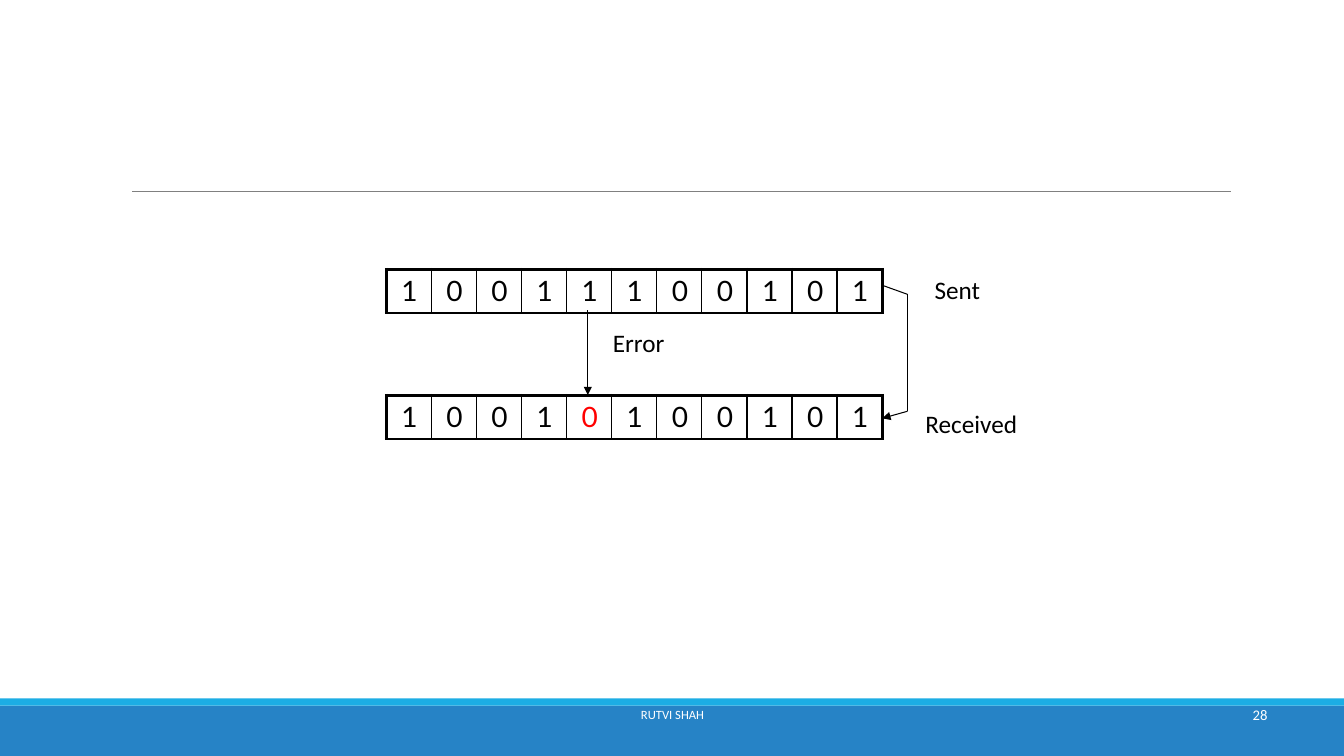
from lxml import etree
from pptx import Presentation
from pptx.dml.color import RGBColor
from pptx.enum.shapes import MSO_CONNECTOR, MSO_SHAPE
from pptx.enum.text import MSO_ANCHOR, PP_ALIGN
from pptx.oxml.ns import qn
from pptx.util import Inches, Pt

STRAIGHT, RECT = MSO_CONNECTOR.STRAIGHT, MSO_SHAPE.RECTANGLE
TOP, MIDDLE = MSO_ANCHOR.TOP, MSO_ANCHOR.MIDDLE
LEFT, CENTER, RIGHT = PP_ALIGN.LEFT, PP_ALIGN.CENTER, PP_ALIGN.RIGHT

# Content
SENT_BITS = "10011100101"
RECEIVED_BITS = "10010100101"
FRAMES = [(2.67, SENT_BITS), (3.92, RECEIVED_BITS)]  # top, bits

THEME = {
    "font": "Calibri", "bit_font": "Lato",
    "ink": "000000", "error": "FF0000", "paper": "FFFFFF",
    "rule": "808080", "footer": "2683C6", "footer_edge": "1CADE4",
    "label_size": 18, "bit_size": 20, "footer_size": 9, "number_size": 10.5,
    "frame_line": 2.25, "bit_line": 1, "arrow_line": 0.75, "rule_line": 0.5,
}
SLIDE_WIDTH, SLIDE_HEIGHT = 13.33, 7.5
FRAME_LEFT, FRAME_WIDTH, FRAME_HEIGHT = 3.83, 4.92, 0.43
FRAME_RIGHT = FRAME_LEFT + FRAME_WIDTH
BEND_X, ERROR_X = 9, 5.83

FOOTER_BANDS = [(7, 0.5, "footer"), (6.93, 0.07, "footer_edge")]  # top, height, colour

LABEL_FORMAT = {"size": "label_size", "color": "ink", "align": LEFT, "anchor": TOP, "wrap": True}
FOOTER_FORMAT = {"size": "footer_size", "color": "paper", "align": CENTER, "anchor": MIDDLE, "wrap": True}
LABELS = [  # text, box, format
    ("RUTVI SHAH", (4.56, 6.83, 4.22, 0.52), FOOTER_FORMAT),
    ("28", (9.56, 6.83, 3.11, 0.52), {**FOOTER_FORMAT, "size": "number_size", "align": RIGHT}),
    ("Sent", (9.17, 2.67, 0.92, 0.4), LABEL_FORMAT),
    ("Received", (9.08, 4, 1.58, 0.4), LABEL_FORMAT),
    ("Error", (5.98, 3.2, 0.72, 0.4), {**LABEL_FORMAT, "wrap": False}),
]
ARROW_FORMAT = {"color": "ink", "width": "arrow_line"}
LINES = [  # start, end, format, arrowhead
    ((1.31, 1.9), (12.21, 1.9), {"color": "rule", "width": "rule_line"}, False),
    ((ERROR_X, 3.08), (ERROR_X, 3.92), ARROW_FORMAT, True),
    ((FRAME_RIGHT, 2.83), (BEND_X, 2.92), ARROW_FORMAT, False),
    ((BEND_X, 2.92), (BEND_X, 4.08), ARROW_FORMAT, False),
    ((BEND_X, 4.08), (FRAME_RIGHT, 4.15), ARROW_FORMAT, True),
]


def rgb(name):
    return RGBColor.from_string(THEME[name])


def write(paragraph, text, font, size, color):
    run = paragraph.add_run()
    run.text = text
    for key, value in {"name": THEME[font], "size": Pt(THEME[size])}.items():
        setattr(run.font, key, value)
    run.font.color.rgb = rgb(color)


def add_label(slide, text, box, style):
    frame = slide.shapes.add_textbox(*map(Inches, box)).text_frame
    for key, value in {"word_wrap": style["wrap"], "vertical_anchor": style["anchor"]}.items():
        setattr(frame, key, value)
    paragraph = frame.paragraphs[0]
    paragraph.alignment = style["align"]
    write(paragraph, text, "font", style["size"], style["color"])


def add_line(slide, start, end, style, arrowhead):
    line = slide.shapes.add_connector(STRAIGHT, *map(Inches, start + end))
    line.line.color.rgb = rgb(style["color"])
    line.line.width = Pt(THEME[style["width"]])
    if arrowhead:
        etree.SubElement(line.line._get_or_add_ln(), qn("a:tailEnd"), type="triangle")
    etree.SubElement(line._element.spPr, qn("a:effectLst"))


def set_borders(cell, widths):
    properties = cell._tc.get_or_add_tcPr()
    for position, (side, width) in enumerate(widths.items()):
        border = etree.Element(qn(f"a:ln{side}"), w=str(Pt(THEME[width])))
        fill = etree.SubElement(border, qn("a:solidFill"))
        etree.SubElement(fill, qn("a:srgbClr"), val=THEME["ink"])
        properties.insert(position, border)


def add_frame(slide, top, bits):
    box = (FRAME_LEFT, top, FRAME_WIDTH, FRAME_HEIGHT)
    table = slide.shapes.add_table(1, len(bits), *map(Inches, box)).table
    table.first_row = table.horz_banding = False
    last = len(bits) - 1
    for index, (bit, sent_bit) in enumerate(zip(bits, SENT_BITS)):
        table.columns[index].width = Inches(FRAME_WIDTH / len(bits))
        cell = table.cell(0, index)
        cell.margin_left, cell.margin_right = Inches(0.15), Inches(0.05)
        cell.fill.background()
        set_borders(cell, {
            "L": "frame_line" if index == 0 else "bit_line",
            "R": "frame_line" if index == last else "bit_line",
            "T": "frame_line",
            "B": "frame_line",
        })
        color = "ink" if bit == sent_bit else "error"
        write(cell.text_frame.paragraphs[0], bit, "bit_font", "bit_size", color)


def main():
    deck = Presentation()
    deck.slide_width, deck.slide_height = Inches(SLIDE_WIDTH), Inches(SLIDE_HEIGHT)
    slide = deck.slides.add_slide(deck.slide_layouts[6])

    # Footer bands
    for top, height, color in FOOTER_BANDS:
        band = slide.shapes.add_shape(RECT, 0, Inches(top), deck.slide_width, Inches(height))
        band.shadow.inherit = False
        band.fill.solid()
        band.fill.fore_color.rgb = rgb(color)
        band.line.fill.background()

    # Bit frames, arrows and labels
    for top, bits in FRAMES:
        add_frame(slide, top, bits)
    for line in LINES:
        add_line(slide, *line)
    for label in LABELS:
        add_label(slide, *label)

    deck.save("out.pptx")


if __name__ == "__main__":
    main()
